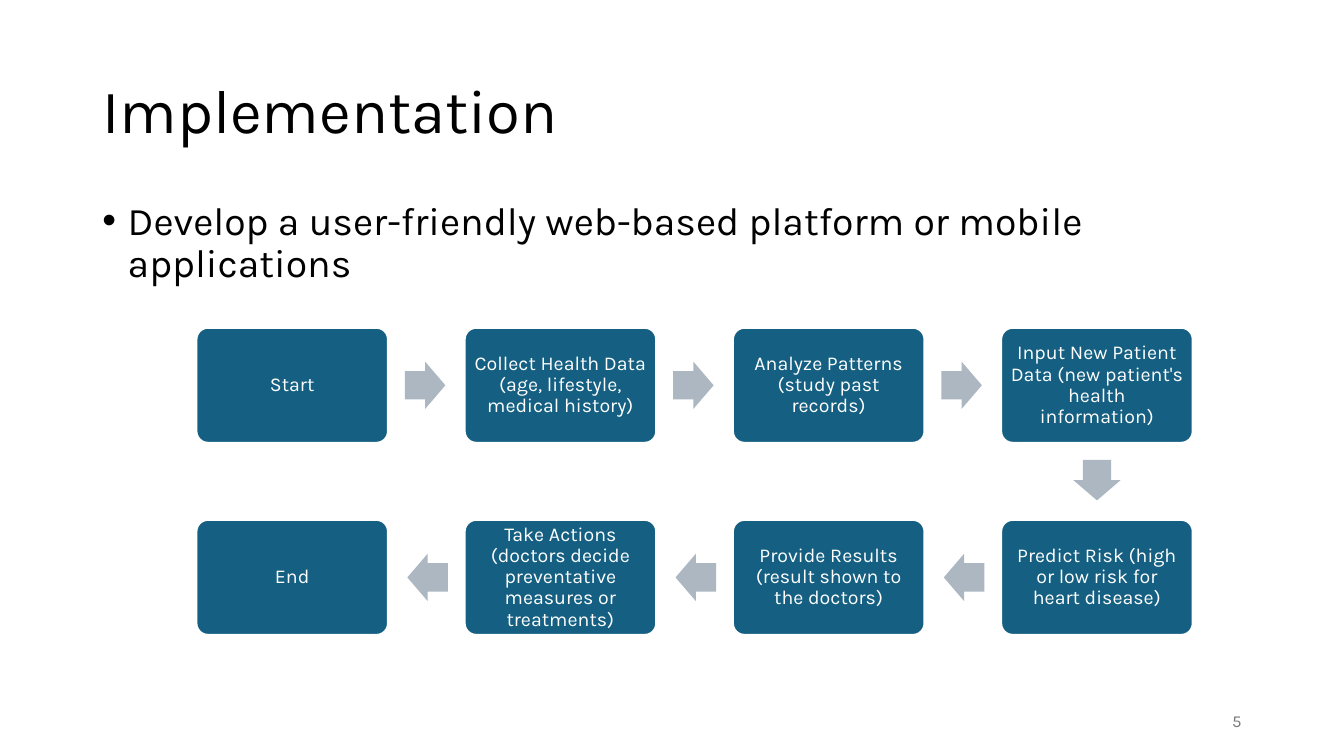
from pptx import Presentation
from pptx.dml.color import RGBColor
from pptx.enum.shapes import MSO_SHAPE
from pptx.enum.text import MSO_ANCHOR, PP_ALIGN
from pptx.oxml import parse_xml
from pptx.oxml.ns import nsdecls
from pptx.util import Cm, Pt

BOX = MSO_SHAPE.ROUNDED_RECTANGLE
ARROW = MSO_SHAPE.RIGHT_ARROW
TOP, MID = MSO_ANCHOR.TOP, MSO_ANCHOR.MIDDLE
LEFT, CENTER, RIGHT = PP_ALIGN.LEFT, PP_ALIGN.CENTER, PP_ALIGN.RIGHT

FONT = "Karla"
COLORS = {
    "black": "000000",
    "white": "FFFFFF",
    "gray": "797979",
    "blue": "156082",
    "steel": "ACB7C1",
}
STEPS = [
    "Start",
    "Collect Health Data (age, lifestyle, medical history)",
    "Analyze Patterns (study past records)",
    "Input New Patient Data (new patient's health information)",
    "Predict Risk (high or low risk for heart disease)",
    "Provide Results (result shown to the doctors)",
    "Take Actions (doctors decide preventative measures or treatments)",
    "End",
]
COLS = 4
GRID_X, GRID_Y = 4.95, 8.26
STEP_X, STEP_Y = 6.76, 4.84
BOX_W, BOX_H = 4.83, 2.9
ARROW_W, ARROW_H = 1.02, 1.19


def color(name):
    return RGBColor.from_string(COLORS[name])


def write(frame, text, size, ink, align=LEFT, anchor=MID, space=0.9):
    frame.word_wrap = True
    frame.vertical_anchor = anchor
    para = frame.paragraphs[0]
    para.alignment = align
    para.line_spacing = space
    run = para.add_run()
    run.text = text
    run.font.name = FONT
    run.font.size = Pt(size)
    run.font.color.rgb = color(ink)
    return para


def add_text(slide, area, text, size, ink, **style):
    frame = slide.shapes.add_textbox(*map(Cm, area)).text_frame
    return write(frame, text, size, ink, **style)


def add_bullet(para):
    props = para._p.get_or_add_pPr()
    props.set("marL", str(Cm(0.64)))
    props.set("indent", str(-Cm(0.64)))
    props.append(parse_xml(f'<a:buFont {nsdecls("a")} typeface="Arial"/>'))
    props.append(parse_xml(f'<a:buChar {nsdecls("a")} char="•"/>'))


def add_shape(slide, kind, area, fill, ratios):
    shape = slide.shapes.add_shape(kind, *map(Cm, area))
    shape.shadow.inherit = False
    shape.fill.solid()
    shape.fill.fore_color.rgb = color(fill)
    shape.line.fill.background()
    for i, ratio in enumerate(ratios):
        shape.adjustments[i] = ratio
    return shape


def add_box(slide, x, y, text):
    box = add_shape(slide, BOX, (x, y, BOX_W, BOX_H), "blue", [0.1])
    box.line.color.rgb = color("white")
    box.line.width = Pt(1.5)
    frame = box.text_frame
    frame.margin_left = frame.margin_right = Cm(0.15)
    frame.margin_top = frame.margin_bottom = Cm(0.15)
    write(frame, text, 14, "white", align=CENTER)


def add_arrow(slide, x, y, turn):
    area = (x - ARROW_W / 2, y - ARROW_H / 2, ARROW_W, ARROW_H)
    arrow = add_shape(slide, ARROW, area, "steel", [0.6, 0.5])
    arrow.rotation = turn


def place(step):
    row, col = divmod(step, COLS)
    if row % 2:
        col = COLS - 1 - col
    return GRID_X + col * STEP_X, GRID_Y + row * STEP_Y


def add_flow(slide):
    spots = [place(i) for i in range(len(STEPS))]
    for (x, y), text in zip(spots, STEPS):
        add_box(slide, x, y, text)
    for (x, y), (next_x, next_y) in zip(spots, spots[1:]):
        mid_x = (x + next_x + BOX_W) / 2
        mid_y = (y + next_y + BOX_H) / 2
        if next_y > y:
            add_arrow(slide, mid_x, mid_y - 0.03, 90)
        elif next_x > x:
            add_arrow(slide, mid_x - 0.03, mid_y, 0)
        else:
            add_arrow(slide, mid_x + 0.03, mid_y, 180)


def main():
    deck = Presentation()
    deck.slide_width, deck.slide_height = Cm(33.87), Cm(19.05)
    slide = deck.slides.add_slide(deck.slide_layouts[6])
    add_text(slide, (2.33, 1.01, 29.21, 3.68), "Implementation", 44, "black")
    add_text(slide, (23.92, 17.66, 7.62, 1.01), "5", 12, "gray",
             align=RIGHT, space=1.0)
    add_flow(slide)
    goal = add_text(
        slide, (2.33, 4.95, 29.21, 2.6),
        "Develop a user-friendly web-based platform or mobile applications",
        28, "black", anchor=TOP)
    goal.space_before = Pt(10)
    add_bullet(goal)
    deck.save("out.pptx")


if __name__ == "__main__":
    main()
